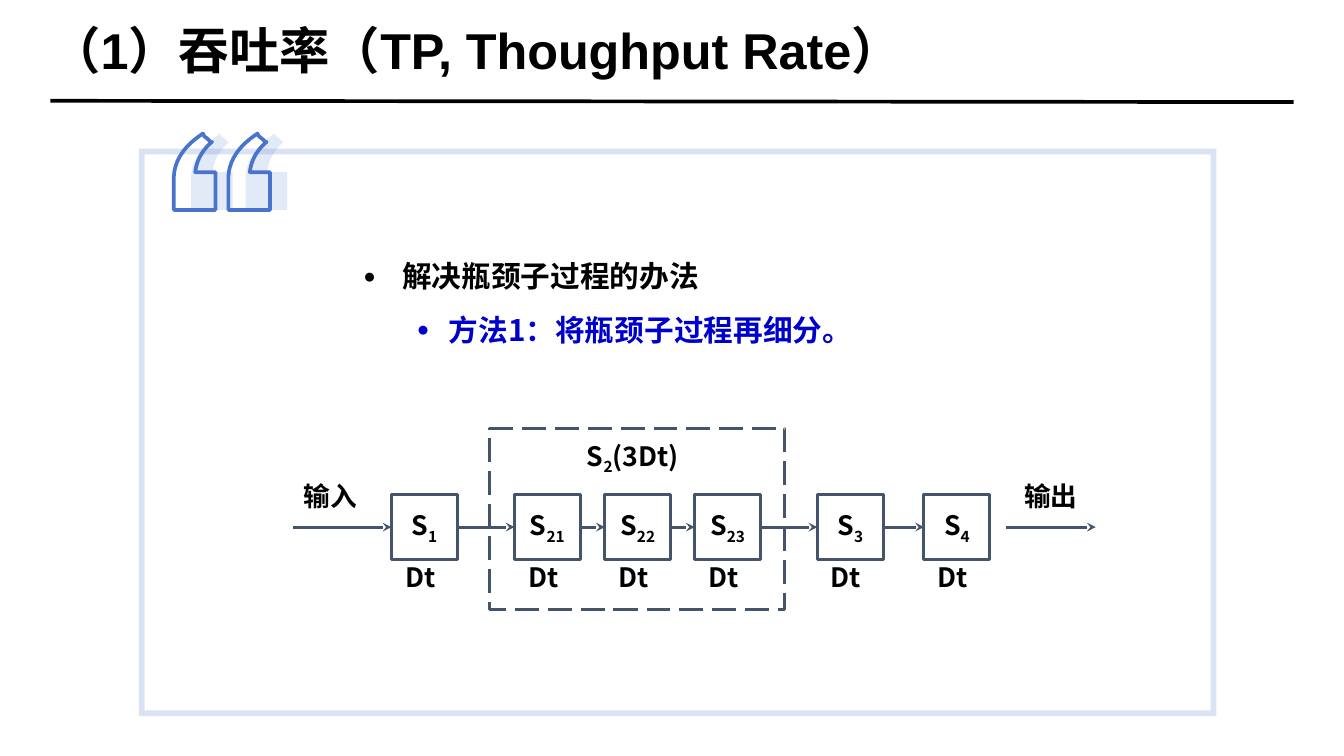
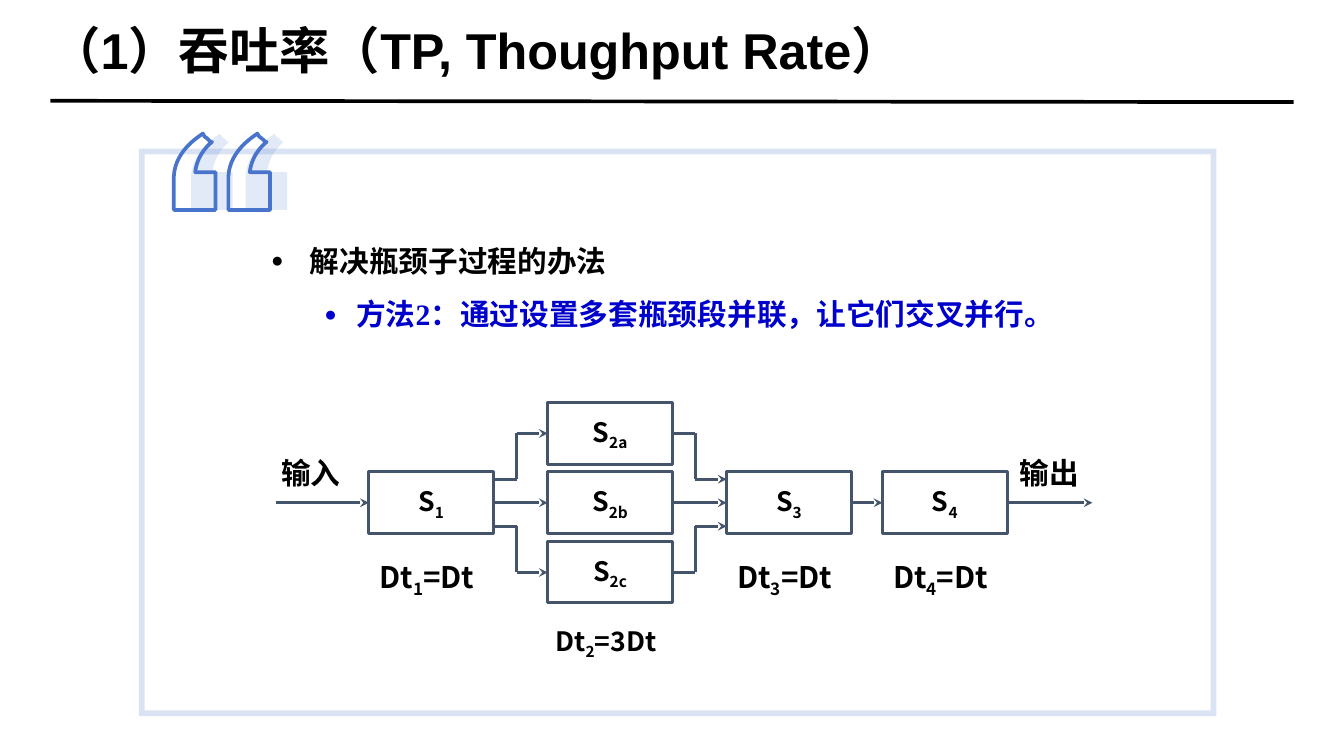
from pptx import Presentation
from pptx.dml.color import RGBColor
from pptx.enum import dml, shapes, text
from pptx.oxml.ns import qn
from pptx.util import Cm, Pt
from lxml import etree

HUES = {"ink": "000000", "blue": "0000CC", "slate": "44546A", "mark": "4874CB"}
HUES = {key: RGBColor.from_string(val) for key, val in HUES.items()}
SANS = "Noto Sans CJK SC"


def box(page, words, at, size=18, edge=False):
    """Add centred text, framed if edge; every second part between _ is a subscript."""
    at = [Cm(n) for n in at]
    if edge:
        item = page.shapes.add_shape(shapes.MSO_SHAPE.RECTANGLE, *at)
        item.shadow.inherit = False
        item.fill.background()
        item.line.color.rgb = HUES["slate"]
        item.line.width = Pt(2)
    else:
        item = page.shapes.add_textbox(*at)
    if not words:
        return item
    frame = item.text_frame
    frame.word_wrap = False
    frame.vertical_anchor = text.MSO_ANCHOR.MIDDLE
    frame.margin_left = frame.margin_right = Cm(0.2)
    frame.margin_top = frame.margin_bottom = Cm(0.1)
    par = frame.paragraphs[0]
    par.alignment = text.PP_ALIGN.CENTER
    par.line_spacing = 0.8
    par.font.size, par.font.bold, par.font.name = Pt(size), True, SANS
    par.font.color.rgb = HUES["ink"]
    for i, part in enumerate(words.split("_")):
        run = par.add_run()
        run.text = part
        if i % 2:
            run._r.get_or_add_rPr().set("baseline", "-25000")
    return item


def wire(page, dots, start=None, end=None):
    """Draw straight lines through the dots, with an arrowhead on the last."""
    last = len(dots) - 2
    for i, (a, b) in enumerate(zip(dots, dots[1:])):
        line = page.shapes.add_connector(
            shapes.MSO_CONNECTOR.STRAIGHT, *[Cm(n) for n in a + b])
        line.line.color.rgb = HUES["slate"]
        line.line.width = Pt(2)
        if i == last:
            etree.SubElement(line.line._get_or_add_ln(), qn("a:tailEnd"), type="stealth")
        etree.SubElement(line._element.spPr, qn("a:effectLst"))
        if start and i == 0:
            line.begin_connect(start, 3)
        if end and i == last:
            line.end_connect(end, 1)


# Outline of one quotation mark: one point for a line, three control points for a curve
QUOTE = [[(0.69, 0)], [(0.73, 0.07)], [(0.77, 0.1), (0.83, 0.14), (0.88, 0.2)],
         [(0.91, 0.2)], [(0.91, 0.2), (0.56, 0.45), (0.51, 0.92)],
         [(0.99, 0.92)], [(0.99, 1.82)], [(0, 1.82)], [(0, 1.02)],
         [(0.03, 0.36), (0.69, 0.02), (0.69, 0)]]

deck = Presentation()
deck.slide_width, deck.slide_height = Cm(32), Cm(18)
plan = deck.slide_layouts[1]
head = plan.placeholders[0]
head.left, head.top, head.width, head.height = Cm(1.2), Cm(-0.4), Cm(29.6), Cm(3.17)

# Shared parts and the list of each slide
LISTS = [
    ("方法1：将瓶颈子过程再细分。", SANS, (8.4, 5.6, 13.94, 2.82)),
    ("方法2：通过设置多套瓶颈段并联，让它们交叉并行。", "Times New Roman",
     (6.2, 5.23, 25.8, 4.29)),
]
for way, face, at in LISTS:
    page = deck.slides.add_slide(plan)
    frame = page.shapes.title.text_frame
    frame.margin_left = frame.margin_right = frame.margin_top = frame.margin_bottom = 0
    frame.vertical_anchor = text.MSO_ANCHOR.MIDDLE
    par = frame.paragraphs[0]
    par.text = "（1）吞吐率（TP, Thoughput Rate）"
    par.alignment = text.PP_ALIGN.LEFT
    par.font.size, par.font.bold, par.font.name = Pt(34), True, "Arial"
    par.font.color.rgb = HUES["ink"]

    rule = page.shapes.add_connector(
        shapes.MSO_CONNECTOR.STRAIGHT, Cm(1.2), Cm(2.4), Cm(30.8), Cm(2.43))
    rule.line.color.rgb = HUES["ink"]
    rule.line.width = Pt(2.5)
    etree.SubElement(rule._element.spPr, qn("a:effectLst"))

    rim = page.shapes.add_shape(
        shapes.MSO_SHAPE.FRAME, Cm(3.31), Cm(3.54), Cm(25.65), Cm(13.51))
    rim.adjustments[0] = 0.01
    marks = []
    for left in (4.55, 4.14):
        rings = [[[(Cm(x + dx), Cm(3.18 + dy)) for dx, dy in step] for step in QUOTE]
                 for x in (left, left + 1.3)]
        pen = page.shapes.build_freeform(*rings[0][0][0], scale=1.0)
        for ring in rings:
            if ring is not rings[0]:
                pen.move_to(*ring[0][0])
            pen.add_line_segments([step[-1] for step in ring[1:]], close=True)
        mark = pen.convert_to_shape()
        steps = [step for ring in rings for step in ring[1:]]
        for node, step in zip(list(mark._element.iter(qn("a:lnTo"))), steps):
            if len(step) == 3:
                node.tag = qn("a:cubicBezTo")
                node.clear()
                for x, y in step:
                    etree.SubElement(node, qn("a:pt"), x=str(x - mark.left),
                                     y=str(y - mark.top))
        marks.append(mark)
    shade, sketch = marks
    for item, alpha in ((rim, 20000), (shade, 15000)):
        item.shadow.inherit = False
        item.line.fill.background()
        item.fill.solid()
        item.fill.fore_color.rgb = HUES["mark"]
        tint = item._element.spPr.find(qn("a:solidFill"))[0]
        etree.SubElement(tint, qn("a:alpha"), val=str(alpha))
    sketch.shadow.inherit = False
    sketch.fill.background()
    sketch.line.color.rgb = HUES["mark"]
    sketch.line.width = Pt(2.5)

    body = page.placeholders[1]
    body.left, body.top, body.width, body.height = [Cm(n) for n in at]
    frame = body.text_frame
    frame.auto_size = text.MSO_AUTO_SIZE.NONE
    frame.word_wrap = True
    frame.text = "解决瓶颈子过程的办法\n" + way
    looks = [("ink", 0.92, 0.92), ("blue", 2.03, 0.76)]
    for level, (par, (hue, left, hang)) in enumerate(zip(frame.paragraphs, looks)):
        par.level = level
        par.line_spacing = 1.5
        par.space_before = Pt(0)
        prop = par._p.get_or_add_pPr()
        prop.set("marL", str(Cm(left)))
        prop.set("indent", str(-Cm(hang)))
        etree.SubElement(prop, qn("a:buSzPct"), val="70000")
        etree.SubElement(prop, qn("a:buChar"), char="●")
        par.font.size, par.font.bold, par.font.name = Pt(20), True, face
        par.font.color.rgb = HUES[hue]

split, fork = deck.slides

# Method 1: the slow stage cut into three
mid, side = 12.55, 1.57
group = box(split, "", (11.66, 10.21, 7.03, 4.3), edge=True)
group.line.dash_style = dml.MSO_LINE.LONG_DASH
box(split, "S_2_(3Dt)", (13.42, 10.21, 3.3, 1.37))
box(split, "输入", (6.6, 11.2, 2.54, 1.37))
box(split, "输出", (23.75, 11.2, 2.54, 1.37))
prev, edge = None, 6.98
for name, x in (("1", 9.32), ("21", 12.25), ("22", 14.4),
                ("23", 16.54), ("3", 19.46), ("4", 22)):
    stage = box(split, "S_" + name, (x, mid - side / 2, side, side), edge=True)
    box(split, "Dt", (x, 13.13, 1.37, 1.37))
    wire(split, [(edge, mid), (x, mid)], prev, stage)
    prev, edge = stage, x + side
wire(split, [(23.95, mid), (26.09, mid)])

# Method 2: three slow stages side by side
mid, wide, high = 11.97, 2.97, 1.49
box(fork, "输入", (6.2, 10.69, 2.41, 1.3), 20)
box(fork, "输出", (23.78, 10.69, 2.41, 1.3), 20)
prev, edge = None, 6.58
for name, x in (("1", 8.78), ("2b", 13.04), ("3", 17.3), ("4", 21.01)):
    stage = box(fork, "S_" + name, (x, mid - high / 2, wide, high), edge=True)
    wire(fork, [(edge, mid), (x, mid)], prev, stage)
    if name != "2b":
        box(fork, f"Dt_{name}_=Dt", (x - 0.19, 13.13, 3.15, 1.3), 20)
    prev, edge = stage, x + wide
wire(fork, [(edge, mid), (26.01, mid)], prev)
for name, row, tall, port in (("2a", 10.32, high, mid - 0.56),
                              ("2c", 13.63, 1.45, mid + 0.56)):
    stage = box(fork, "S_" + name, (13.04, row - tall / 2, wide, tall), edge=True)
    wire(fork, [(11.75, port), (12.3, port), (12.3, row), (13.04, row)], end=stage)
    wire(fork, [(16.01, row), (16.55, row), (16.55, port), (17.3, port)], start=stage)
box(fork, "Dt_2_=3Dt", (12.68, 14.6, 3.5, 1.4))

# Chinese characters take the same face everywhere
for page in deck.slides:
    for prop in page._element.iter(qn("a:defRPr")):
        etree.SubElement(prop, qn("a:ea"), typeface=SANS)

deck.save("out.pptx")
